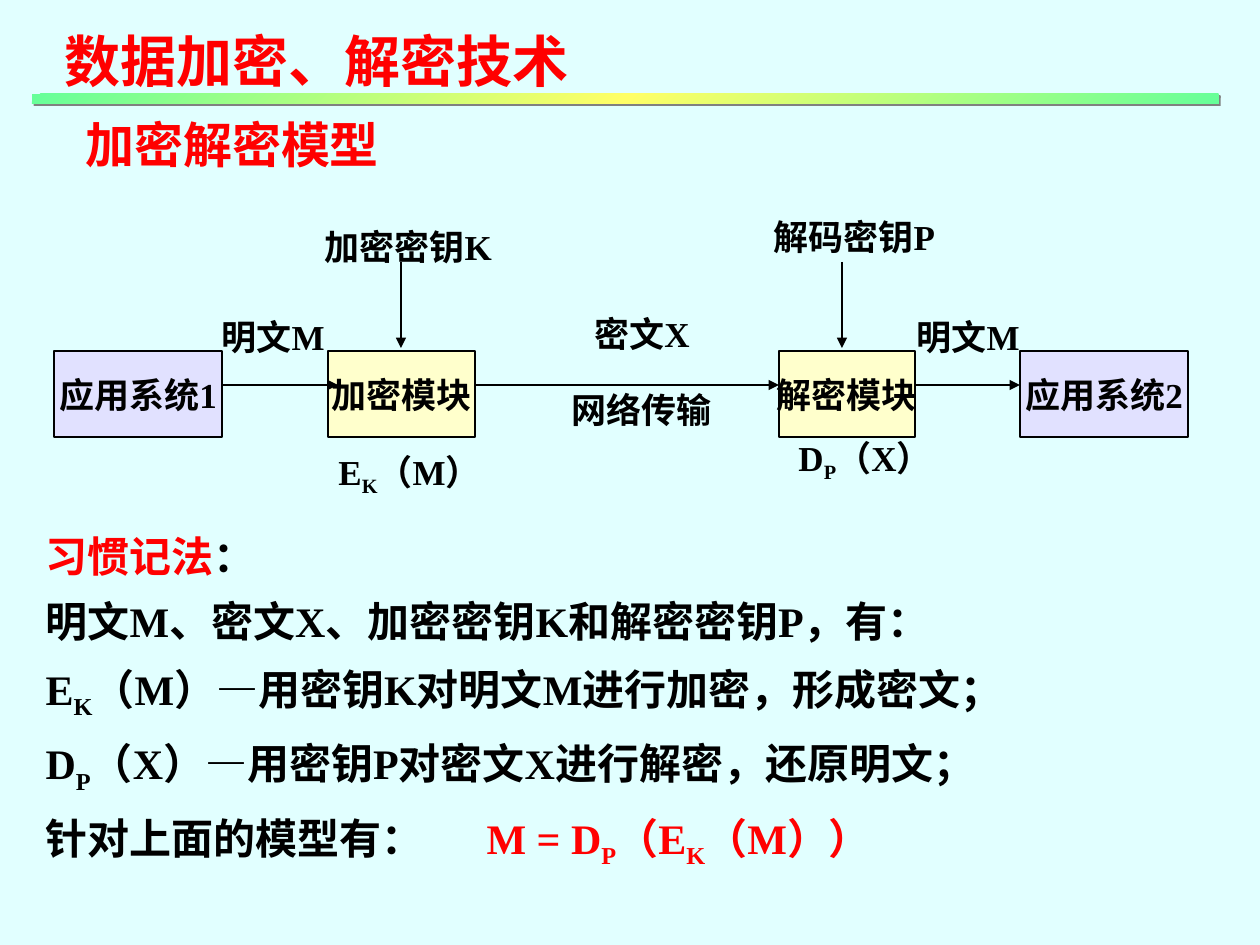
"""Build a slide that explains the encryption and decryption model."""
import copy
from dataclasses import dataclass
from typing import Any, NamedTuple

import lxml.etree
import pptx
import pptx.dml.color
import pptx.enum.shapes
import pptx.enum.text
import pptx.oxml.ns
import pptx.util

PX = 914400 / 126
FONT = "Times New Roman"
RED, BLACK, GRAY = "FF0000", "000000", "808080"
LAVENDER, CREAM, PALE_CYAN = "E1E1FF", "FFFFCC", "E1FFFF"
GREEN, YELLOW = "66FF99", "FFFF66"
BOX_TOP, BOX_HEIGHT = 351, 86
FLOW_Y = 385
KEY_TOP, KEY_BOTTOM = 262, 348
TAB_STOP = 429


class Span(NamedTuple):
    text: str
    color: str = BLACK
    subscript: bool = False


@dataclass
class Box:
    text: str
    left: int
    width: int
    fill: str


@dataclass
class Label:
    spans: list[Span]
    left: int
    top: int
    width: int
    height: int = 55
    size: int = 20


class Arrow(NamedTuple):
    x1: int
    y1: int
    x2: int
    y2: int


def keyed(letter: str, key: str, rest: str, color: str = BLACK) -> list[Span]:
    return [Span(letter, color), Span(key, color, True), Span(rest, color)]


BOXES = [
    Box("应用系统1", 54, 168, LAVENDER),
    Box("加密模块", 328, 147, CREAM),
    Box("解密模块", 779, 136, CREAM),
    Box("应用系统2", 1020, 168, LAVENDER),
]
LABELS = [
    Label([Span("加密解密模型", RED)], 73, 108, 330, 72, 28),
    Label([Span("明文M")], 209, 309, 146),
    Label([Span("密文X")], 582, 306, 139),
    Label([Span("明文M")], 904, 309, 146),
    Label([Span("网络传输")], 559, 382, 175),
    Label([Span("加密密钥K")], 312, 219, 213),
    Label([Span("解码密钥P")], 761, 209, 205),
    Label(keyed("E", "K", "（M）"), 326, 444, 203, 60),
    Label(keyed("D", "P", "（X）"), 786, 430, 194, 60),
]
ARROWS = [
    Arrow(222, FLOW_Y, 338, FLOW_Y),
    Arrow(475, FLOW_Y, 779, FLOW_Y),
    Arrow(916, FLOW_Y, 1020, FLOW_Y),
    Arrow(401, KEY_TOP, 401, KEY_BOTTOM),
    Arrow(842, KEY_TOP, 842, KEY_BOTTOM),
]
NOTATION = [
    [Span("习惯记法", RED), Span("：")],
    [Span("明文M、密文X、加密密钥K和解密密钥P，有：")],
    keyed("E", "K", "（M）—用密钥K对明文M进行加密，形成密文；"),
    keyed("D", "P", "（X）—用密钥P对密文X进行解密，还原明文；"),
    [Span("针对上面的模型有：\t"), *keyed("M = D", "P", "（", RED), *keyed("E", "K", "（M））", RED)],
]


def px(length: float) -> int:
    return round(length * PX)


def rgb(color: str) -> pptx.dml.color.RGBColor:
    return pptx.dml.color.RGBColor.from_string(color)


def add_element(parent: Any, tag: str, **attributes: str) -> Any:
    return lxml.etree.SubElement(parent, pptx.oxml.ns.qn(tag), attributes)


def place(shape: Any, left: int, top: int, width: int, height: int) -> None:
    shape.left, shape.top, shape.width, shape.height = map(px, (left, top, width, height))


def write_spans(paragraph: Any, spans: list[Span], size: int) -> None:
    for span in spans:
        run = paragraph.add_run()
        run.text = span.text
        run.font.name = FONT
        run.font.size = pptx.util.Pt(size)
        run.font.bold = True
        run.font.color.rgb = rgb(span.color)
        if span.subscript:
            run.font._element.set("baseline", "-25000")


def fit_frame(text_frame: Any, wrap: bool = False) -> None:
    text_frame.word_wrap = wrap
    text_frame.auto_size = pptx.enum.text.MSO_AUTO_SIZE.SHAPE_TO_FIT_TEXT
    text_frame.vertical_anchor = pptx.enum.text.MSO_ANCHOR.TOP


def fill_title(title: Any) -> None:
    place(title, 52, 20, 560, 81)
    fit_frame(title.text_frame)
    paragraph = title.text_frame.paragraphs[0]
    paragraph.alignment = pptx.enum.text.PP_ALIGN.LEFT
    write_spans(paragraph, [Span("数据加密、解密技术", RED)], 32)


def fill_notation(body: Any) -> None:
    place(body, 33, 509, 1070, 368)
    text_frame = body.text_frame
    fit_frame(text_frame, wrap=True)
    for index, spans in enumerate(NOTATION):
        paragraph = text_frame.add_paragraph() if index else text_frame.paragraphs[0]
        paragraph.line_spacing = 1.3
        paragraph.space_before = pptx.util.Pt(0)
        properties = paragraph._p.get_or_add_pPr()
        properties.set("marL", "0")
        properties.set("indent", "0")
        add_element(properties, "a:buNone")
        tabs = add_element(properties, "a:tabLst")
        add_element(tabs, "a:tab", pos=str(px(TAB_STOP)), algn="l")
        write_spans(paragraph, spans, 24)


def add_rectangle(slide: Any, left: int, top: int, width: int, height: int) -> Any:
    shape = slide.shapes.add_shape(
        pptx.enum.shapes.MSO_SHAPE.RECTANGLE, *map(px, (left, top, width, height)))
    shape.shadow.inherit = False
    return shape


def add_box(slide: Any, box: Box) -> None:
    shape = add_rectangle(slide, box.left, BOX_TOP, box.width, BOX_HEIGHT)
    shape.fill.solid()
    shape.fill.fore_color.rgb = rgb(box.fill)
    shape.line.color.rgb = rgb(BLACK)
    shape.line.width = pptx.util.Pt(0.75)
    shape.text_frame.word_wrap = False
    shape.text_frame.vertical_anchor = pptx.enum.text.MSO_ANCHOR.MIDDLE
    paragraph = shape.text_frame.paragraphs[0]
    paragraph.alignment = pptx.enum.text.PP_ALIGN.CENTER
    write_spans(paragraph, [Span(box.text)], 20)


def add_label(slide: Any, label: Label) -> None:
    shape = slide.shapes.add_textbox(
        *map(px, (label.left, label.top, label.width, label.height)))
    fit_frame(shape.text_frame, wrap=True)
    write_spans(shape.text_frame.paragraphs[0], label.spans, label.size)


def add_arrow(slide: Any, arrow: Arrow) -> None:
    connector = slide.shapes.add_connector(
        pptx.enum.shapes.MSO_CONNECTOR.STRAIGHT, *map(px, arrow))
    connector.line.color.rgb = rgb(BLACK)
    connector.line.width = pptx.util.Pt(0.75)
    add_element(connector.line._get_or_add_ln(), "a:tailEnd", type="triangle")
    add_element(connector._element.spPr, "a:effectLst")


def add_title_bar(slide: Any) -> None:
    bar = add_rectangle(slide, 32, 94, 1187, 10)
    bar.line.fill.background()
    bar.fill.gradient()
    bar.fill.gradient_angle = 135
    properties = bar._element.spPr
    stop_list = properties.find(".//" + pptx.oxml.ns.qn("a:gsLst"))
    stop_list.append(copy.deepcopy(stop_list[0]))
    for index, color in enumerate((GREEN, YELLOW, GREEN)):
        stop = bar.fill.gradient_stops[index]
        stop.position = index / 2
        stop.color.rgb = rgb(color)
    effects = properties.find(pptx.oxml.ns.qn("a:effectLst"))
    shadow = add_element(effects, "a:outerShdw", dist="17780", dir="2700000")
    add_element(shadow, "a:srgbClr", val=GRAY)


def main() -> None:
    presentation = pptx.Presentation()
    presentation.slide_width, presentation.slide_height = px(1260), px(945)
    slide = presentation.slides.add_slide(presentation.slide_layouts[1])
    slide.background.fill.solid()
    slide.background.fill.fore_color.rgb = rgb(PALE_CYAN)
    fill_title(slide.shapes.title)
    fill_notation(slide.placeholders[1])
    for box in BOXES:
        add_box(slide, box)
    for label in LABELS:
        add_label(slide, label)
    for arrow in ARROWS:
        add_arrow(slide, arrow)
    add_title_bar(slide)
    presentation.save("out.pptx")


if __name__ == "__main__":
    main()
